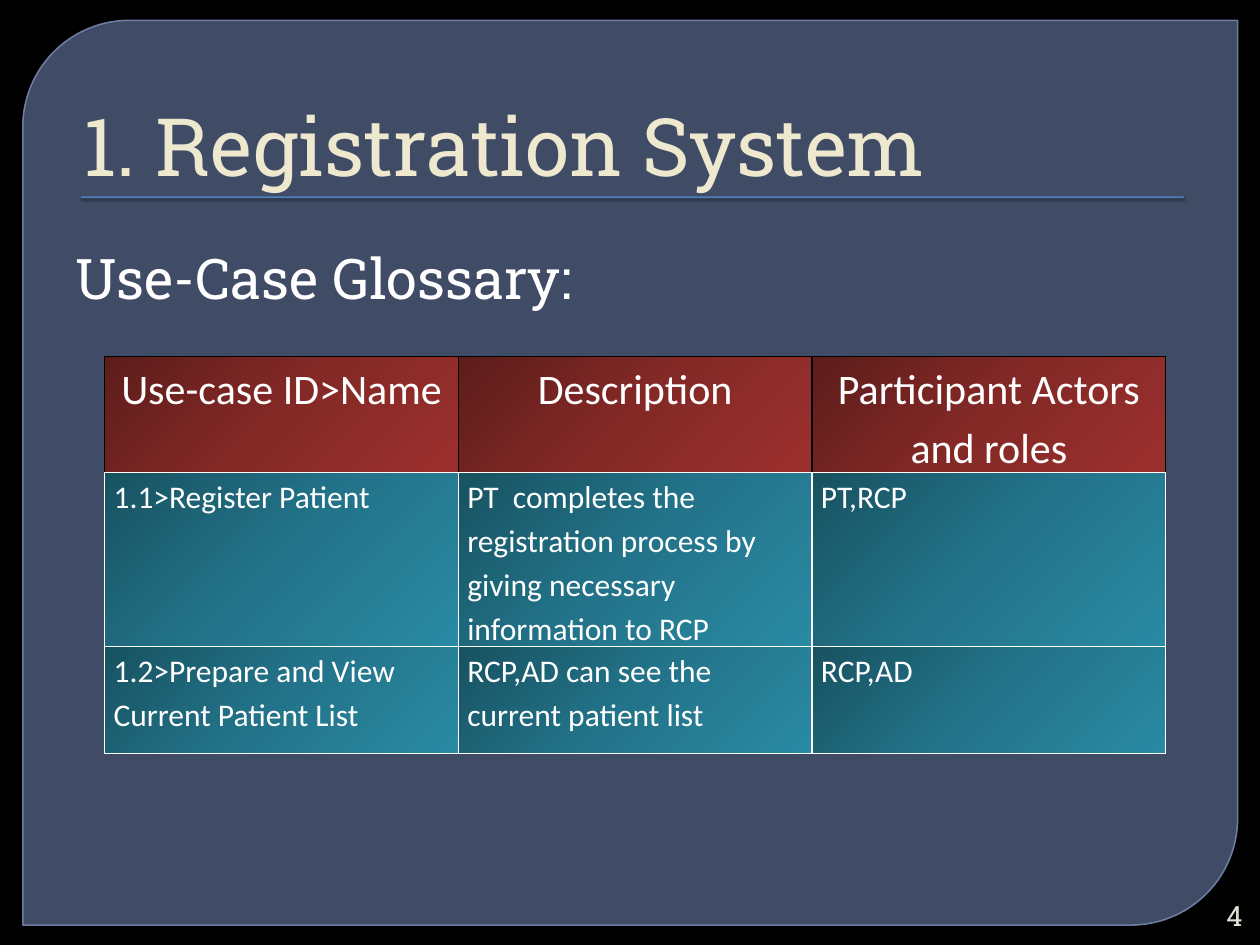
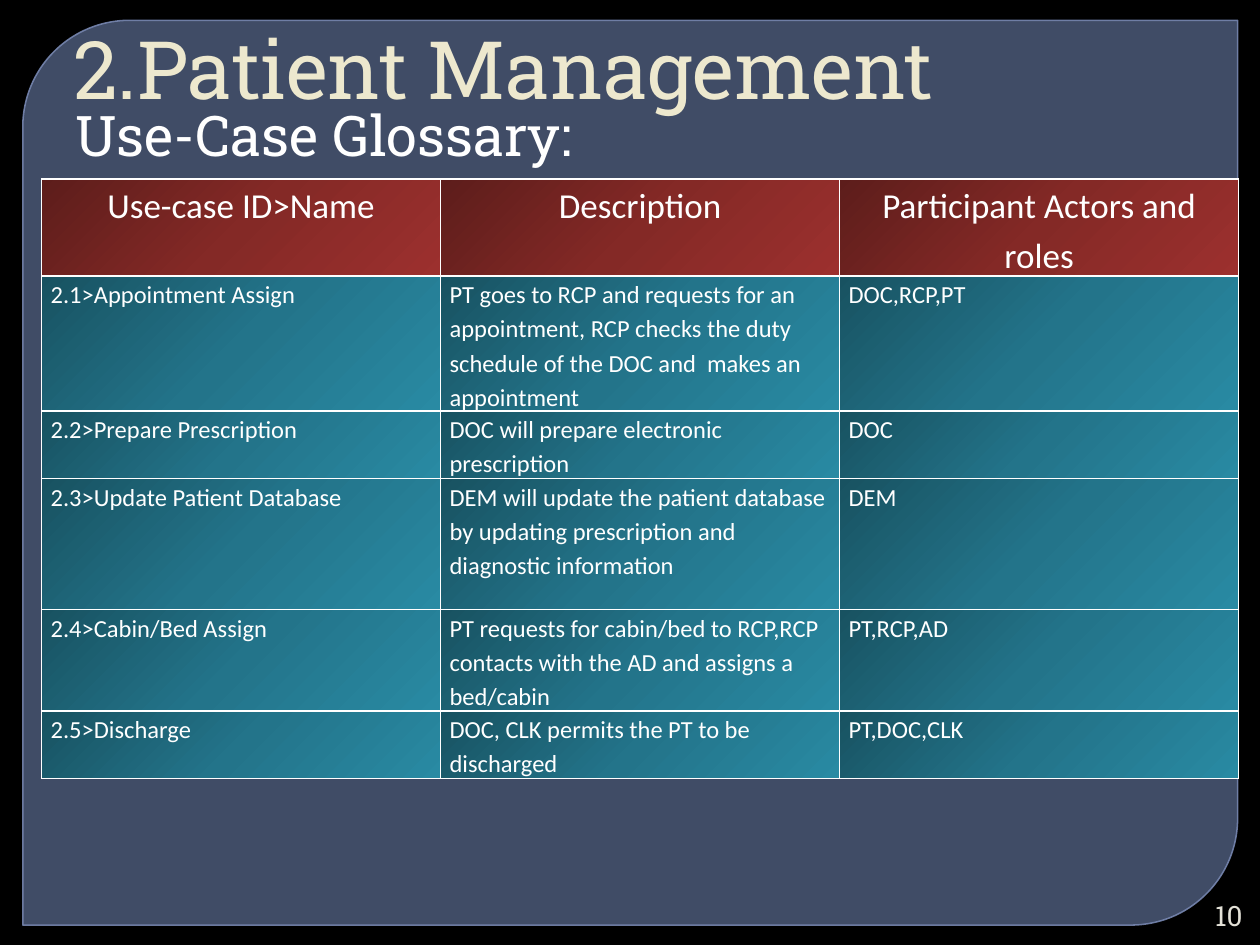
from lxml import etree
from pptx import Presentation
from pptx.dml.color import RGBColor
from pptx.enum.shapes import MSO_SHAPE
from pptx.enum.text import MSO_ANCHOR, PP_ALIGN
from pptx.oxml import parse_xml
from pptx.oxml.ns import nsdecls, qn
from pptx.util import Cm, Pt

DIAGONAL_PANEL = MSO_SHAPE.ROUND_2_DIAG_RECTANGLE
RECTANGLE = MSO_SHAPE.RECTANGLE
TOP, MIDDLE, BOTTOM = MSO_ANCHOR.TOP, MSO_ANCHOR.MIDDLE, MSO_ANCHOR.BOTTOM
LEFT, CENTER, RIGHT = PP_ALIGN.LEFT, PP_ALIGN.CENTER, PP_ALIGN.RIGHT

BLACK, WHITE = "000000", "FFFFFF"
PANEL_FILL, PANEL_LINE, RULE_BLUE = "63759D", "7989B3", "4F81BD"
RED_GRADIENT = ((0, "5D1D1B"), (50, "842926"), (100, "9C302E"))
TEAL_GRADIENT = ((0, "185261"), (50, "23748A"), (100, "298AA3"))

SLAB, SANS = "Roboto Slab", "Calibri"
TITLE = {"size": Pt(46), "name": SLAB, "color": "EDE8CE"}
SUBTITLE = {"size": Pt(32), "name": SLAB, "color": WHITE}
PAGE_NUMBER = {"size": Pt(16), "name": SLAB, "color": "E3E1D7"}

TITLE_FRAME = {"vertical_anchor": BOTTOM, "margin_left": Cm(0.41), "margin_bottom": 0}
BODY_FRAME = {"vertical_anchor": TOP}
NUMBER_FRAME = {"vertical_anchor": MIDDLE}
CELL_FORMAT = {"margin_left": Cm(0.18), "margin_right": Cm(0.18),
               "margin_top": 0, "margin_bottom": 0, "vertical_anchor": TOP}

GLOSSARY_HEADING = "Use-Case Glossary:"
GLOSSARY_COLUMNS = ("Use-case ID>Name", "Description", "Participant Actors and roles")
REGISTRATION = (
    ("1.1>Register Patient",
     "PT  completes the registration process by giving necessary information to RCP",
     "PT,RCP"),
    ("1.2>Prepare and View Current Patient List",
     "RCP,AD can see the current patient list",
     "RCP,AD"),
)
PATIENT_MANAGEMENT = (
    ("2.1>Appointment Assign",
     "PT goes to RCP and requests for an appointment, RCP checks the duty schedule "
     "of the DOC and  makes an appointment",
     "DOC,RCP,PT"),
    ("2.2>Prepare Prescription",
     "DOC will prepare electronic prescription",
     "DOC"),
    ("2.3>Update Patient Database",
     "DEM will update the patient database by updating prescription and "
     "diagnostic information",
     "DEM"),
    ("2.4>Cabin/Bed Assign",
     "PT requests for cabin/bed to RCP,RCP contacts with the AD and assigns a bed/cabin",
     "PT,RCP,AD"),
    ("2.5>Discharge",
     "DOC, CLK permits the PT to be discharged",
     "PT,DOC,CLK"),
)


def paint(color_format, color, opacity=None):
    color_format.rgb = RGBColor.from_string(color)
    if opacity is not None:
        element = color_format._xFill.find(qn("a:srgbClr"))
        etree.SubElement(element, qn("a:alpha"), val=str(opacity * 1000))


def apply(target, values):
    for name, value in values.items():
        setattr(target, name, value)


def write(frame, text, style, align=LEFT, spacing=1.0):
    para = frame.paragraphs[0]
    apply(para, {"alignment": align, "line_spacing": spacing})
    span = para.add_run()
    span.text = text
    apply(span.font, {"size": style["size"], "name": style["name"]})
    paint(span.font.color, style["color"])


def add_text(page, place, text, style, frame_format, align=LEFT):
    box = page.shapes.add_textbox(*map(Cm, place))
    box.text_frame.word_wrap = True
    apply(box.text_frame, frame_format)
    write(box.text_frame, text, style, align)


def add_filled_shape(page, kind, place, color, opacity=None):
    shape = page.shapes.add_shape(kind, *map(Cm, place))
    shape.shadow.inherit = False
    shape.fill.solid()
    paint(shape.fill.fore_color, color, opacity)
    return shape


def add_panel(page):
    panel = add_filled_shape(page, DIAGONAL_PANEL, (0.46, 0.41, 24.49, 18.24), PANEL_FILL, 65)
    panel.adjustments[0] = 0.118
    panel.adjustments[1] = 0
    panel.line.width = Pt(0.87)
    panel.line.fill.solid()
    paint(panel.line.fill.fore_color, PANEL_LINE, 88)


def add_title_rule(page):
    rule = add_filled_shape(page, RECTANGLE, (1.63, 3.96, 22.23, 0.03), RULE_BLUE)
    rule.line.fill.background()
    effects = rule._element.spPr.find(qn("a:effectLst"))
    effects.append(parse_xml(
        f'<a:outerShdw {nsdecls("a")} blurRad="{Pt(1)}" dist="{Pt(1)}" dir="5400000">'
        f'<a:srgbClr val="{BLACK}"><a:alpha val="75000"/></a:srgbClr></a:outerShdw>'))


def add_page(deck, title, title_place, body_place, number):
    page = deck.slides.add_slide(deck.slide_layouts[6])
    page.background.fill.solid()
    paint(page.background.fill.fore_color, BLACK)
    add_panel(page)
    add_title_rule(page)
    add_text(page, title_place, title, TITLE, TITLE_FRAME)
    add_text(page, body_place, GLOSSARY_HEADING, SUBTITLE, BODY_FRAME)
    add_text(page, (24, 18.08, 1.3, 0.76), str(number), PAGE_NUMBER, NUMBER_FRAME, RIGHT)
    return page


def decorate_cell(cell, gradient, edge_color):
    properties = cell._tc.get_or_add_tcPr()
    for side in "LRTB":
        color = WHITE if side == "B" else edge_color
        properties.append(parse_xml(
            f'<a:ln{side} {nsdecls("a")} w="{Pt(1)}"><a:solidFill>'
            f'<a:srgbClr val="{color}"/></a:solidFill></a:ln{side}>'))
    stops = "".join(f'<a:gs pos="{position * 1000}"><a:srgbClr val="{color}"/></a:gs>'
                    for position, color in gradient)
    properties.append(parse_xml(
        f'<a:gradFill {nsdecls("a")}><a:gsLst>{stops}</a:gsLst>'
        f'<a:lin ang="2700000" scaled="0"/></a:gradFill>'))


def add_glossary(page, place, heights, entries, header_size, entry_size, header_edge=WHITE):
    left, top, width = place
    rows = (GLOSSARY_COLUMNS, *entries)
    table = page.shapes.add_table(len(rows), len(GLOSSARY_COLUMNS), Cm(left), Cm(top),
                                  Cm(width), Cm(sum(heights))).table
    apply(table, {"first_row": False, "horz_banding": False})
    for column in table.columns:
        column.width = Cm(width / len(GLOSSARY_COLUMNS))
    for row_index, (texts, height) in enumerate(zip(rows, heights)):
        table.rows[row_index].height = Cm(height)
        header = row_index == 0
        style = {"size": Pt(header_size if header else entry_size),
                 "name": SANS, "color": WHITE}
        for column_index, text in enumerate(texts):
            cell = table.cell(row_index, column_index)
            apply(cell, CELL_FORMAT)
            write(cell.text_frame, text, style, CENTER if header else LEFT, 1.15)
            decorate_cell(cell, RED_GRADIENT if header else TEAL_GRADIENT,
                          header_edge if header else WHITE)


def main():
    deck = Presentation()
    apply(deck, {"slide_width": Cm(25.4), "slide_height": Cm(19.05)})

    page = add_page(deck, "1. Registration System", (1.27, 0.71, 22.86, 3.18),
                    (1.27, 4.78, 22.86, 12.57), 4)
    add_glossary(page, (2.11, 7.19, 21.39), (1.09, 3.25, 2.16), REGISTRATION,
                 24, 18, BLACK)

    page = add_page(deck, "2.Patient Management", (1.07, -0.03, 22.86, 2.36),
                    (1.27, 1.9, 22.86, 15.24), 10)
    add_glossary(page, (0.84, 3.61, 24.13), (1.93, 2.72, 1.35, 2.64, 2.03, 1.35),
                 PATIENT_MANAGEMENT, 20, 14)

    deck.save("out.pptx")


if __name__ == "__main__":
    main()
